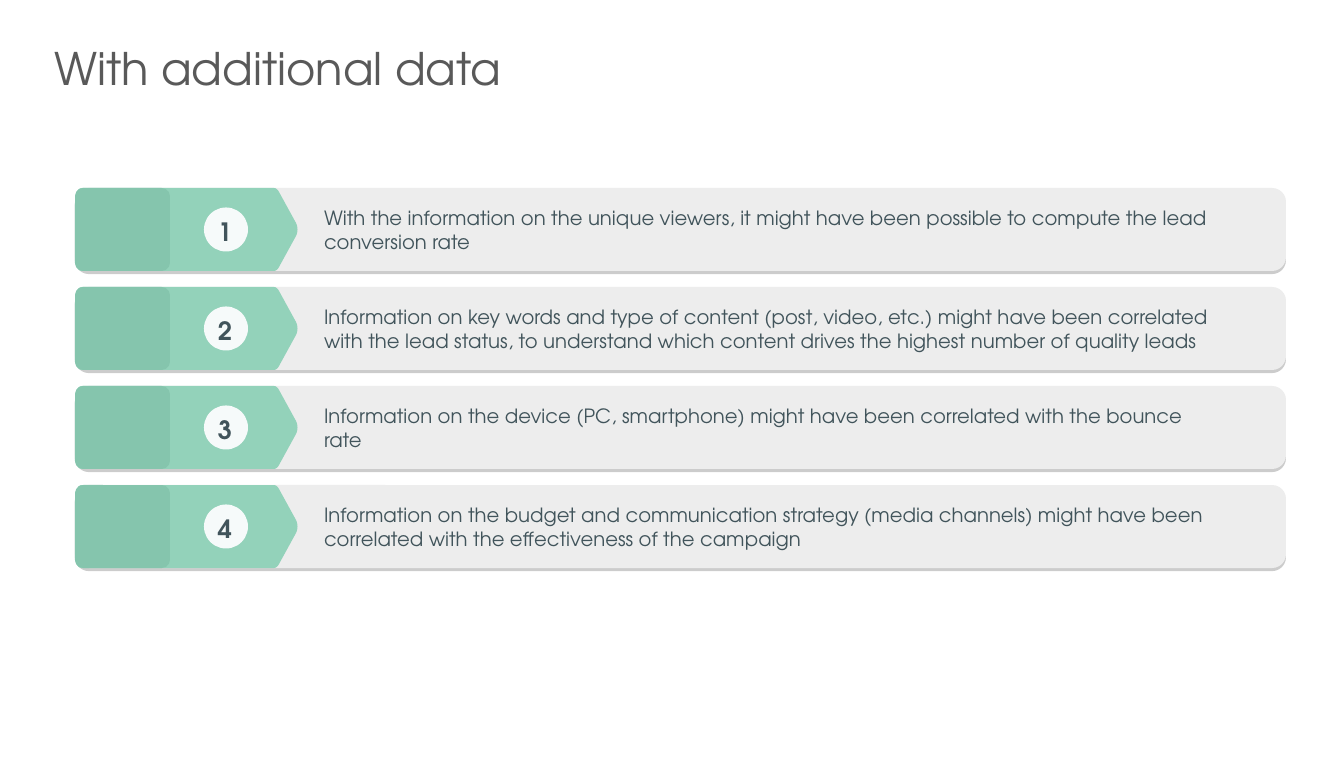
"""Build a slide listing four numbered findings on banded arrow rows."""
from lxml import etree
from pptx import Presentation
from pptx.dml.color import RGBColor
from pptx.enum.shapes import MSO_SHAPE as Shape
from pptx.enum.text import MSO_ANCHOR as Anchor, MSO_AUTO_SIZE as AutoSize, PP_ALIGN as Align
from pptx.oxml.ns import qn
from pptx.util import Pt

TITLE = "With additional data"
FINDINGS = [
    "With the information on the unique viewers, it might have been possible to compute the lead conversion rate",
    "Information on key words and type of content (post, video, etc.) might have been correlated with the lead "
    "status, to understand which content drives the highest number of quality leads",
    "Information on the device (PC, smartphone) might have been correlated with the bounce rate",
    "Information on the budget and communication strategy (media channels) might have been correlated with the "
    "effectiveness of the campaign",
]
FONT = "TeX Gyre Adventor"
COLOURS = {"title": "595959", "text": "41545B", "bar": "EDEDED", "arrow": "93D2BA",
           "tab": "85C5AD", "badge": "F6FAFA", "shadow": "000000"}
ARROW_CORNERS = [
    [(7, 0), (3, 0), (0, 5), (0, 11)],
    [(0, 73), (0, 78), (3, 83), (7, 83)],
    [(199, 83), (201, 83), (203, 81), (204, 79)],
    [(221, 48), (223, 44), (223, 39), (221, 35)],
    [(204, 4), (203, 2), (201, 0), (199, 0)],
]
CURVE_STEPS = 8
SCALE = 9062
ROW_LEFT, ROW_TOP, ROW_PITCH = 75, 188, 99
ROW_WIDTH, ROW_HEIGHT, TAB_WIDTH = 1211, 83, 95
BADGE_LEFT, BADGE_SIZE = 204, 44
TEXT_LEFT, TEXT_WIDTH, TEXT_HEIGHT, TEXT_INSET = 314, 914, 64, 10


def px(*lengths):
    return [length * SCALE for length in lengths]


def paint(shape, colour):
    shape.shadow.inherit = False
    shape.fill.solid()
    shape.fill.fore_color.rgb = RGBColor.from_string(COLOURS[colour])
    shape.line.fill.background()


def add_block(page, kind, frame, colour, rounding=None):
    block = page.shapes.add_shape(kind, *px(*frame))
    if rounding is not None:
        block.adjustments[0] = rounding
    paint(block, colour)
    return block


def add_drop_shadow(shape):
    effects = shape._element.spPr.find(qn("a:effectLst"))
    shadow = etree.SubElement(effects, qn("a:outerShdw"), blurRad="0", dist=str(Pt(2.2)),
                              dir="5400000", algn="t", rotWithShape="0")
    colour = etree.SubElement(shadow, qn("a:srgbClr"), val=COLOURS["shadow"])
    etree.SubElement(colour, qn("a:alpha"), val="20000")


def curve_point(corner, t):
    weights = ((1 - t) ** 3, 3 * t * (1 - t) ** 2, 3 * t ** 2 * (1 - t), t ** 3)
    return [sum(w * point[axis] for w, point in zip(weights, corner)) for axis in (0, 1)]


def add_arrow(page, left, top):
    points = [curve_point(corner, step / CURVE_STEPS)
              for corner in ARROW_CORNERS for step in range(CURVE_STEPS + 1)]
    outline = [px(left + x, top + y) for x, y in points]
    builder = page.shapes.build_freeform(*outline[0])
    builder.add_line_segments(outline[1:], close=True)
    paint(builder.convert_to_shape(), "arrow")


def write(shape, text, size, colour="text", bold=False, align=Align.LEFT,
          anchor=Anchor.MIDDLE, insets=None, wrap=True):
    frame = shape.text_frame
    frame.word_wrap = wrap
    frame.auto_size = AutoSize.NONE
    frame.vertical_anchor = anchor
    if insets:
        frame.margin_left, frame.margin_top, frame.margin_right, frame.margin_bottom = px(*insets)
    para = frame.paragraphs[0]
    para.alignment = align
    span = para.add_run()
    span.text = text
    span.font.name = FONT
    span.font.size = Pt(size)
    span.font.bold = bold
    span.font.color.rgb = RGBColor.from_string(COLOURS[colour])


def add_row(page, number, finding):
    top = ROW_TOP + (number - 1) * ROW_PITCH
    middle = top + ROW_HEIGHT / 2
    bar = add_block(page, Shape.ROUNDED_RECTANGLE, (ROW_LEFT, top, ROW_WIDTH, ROW_HEIGHT), "bar", 0.167)
    add_drop_shadow(bar)
    add_arrow(page, ROW_LEFT, top)
    add_block(page, Shape.ROUNDED_RECTANGLE, (ROW_LEFT, top, TAB_WIDTH, ROW_HEIGHT), "tab", 0.1)
    badge = add_block(page, Shape.OVAL, (BADGE_LEFT, middle - BADGE_SIZE / 2, BADGE_SIZE, BADGE_SIZE), "badge")
    write(badge, str(number), 18, bold=True, align=Align.CENTER, insets=(0, 4, 2, 0), wrap=False)
    box = page.shapes.add_textbox(*px(TEXT_LEFT, middle - TEXT_HEIGHT / 2, TEXT_WIDTH, TEXT_HEIGHT))
    write(box, finding, 14, insets=[TEXT_INSET] * 4)


def main():
    deck = Presentation()
    deck.slide_width, deck.slide_height = px(1344, 757)
    page = deck.slides.add_slide(deck.slide_layouts[5])
    title = page.shapes.title
    title.left, title.top, title.width, title.height = px(44, 36, 1102, 65)
    write(title, TITLE, 32, "title", anchor=Anchor.TOP)
    for number, finding in enumerate(FINDINGS, 1):
        add_row(page, number, finding)
    deck.save("out.pptx")


if __name__ == "__main__":
    main()
